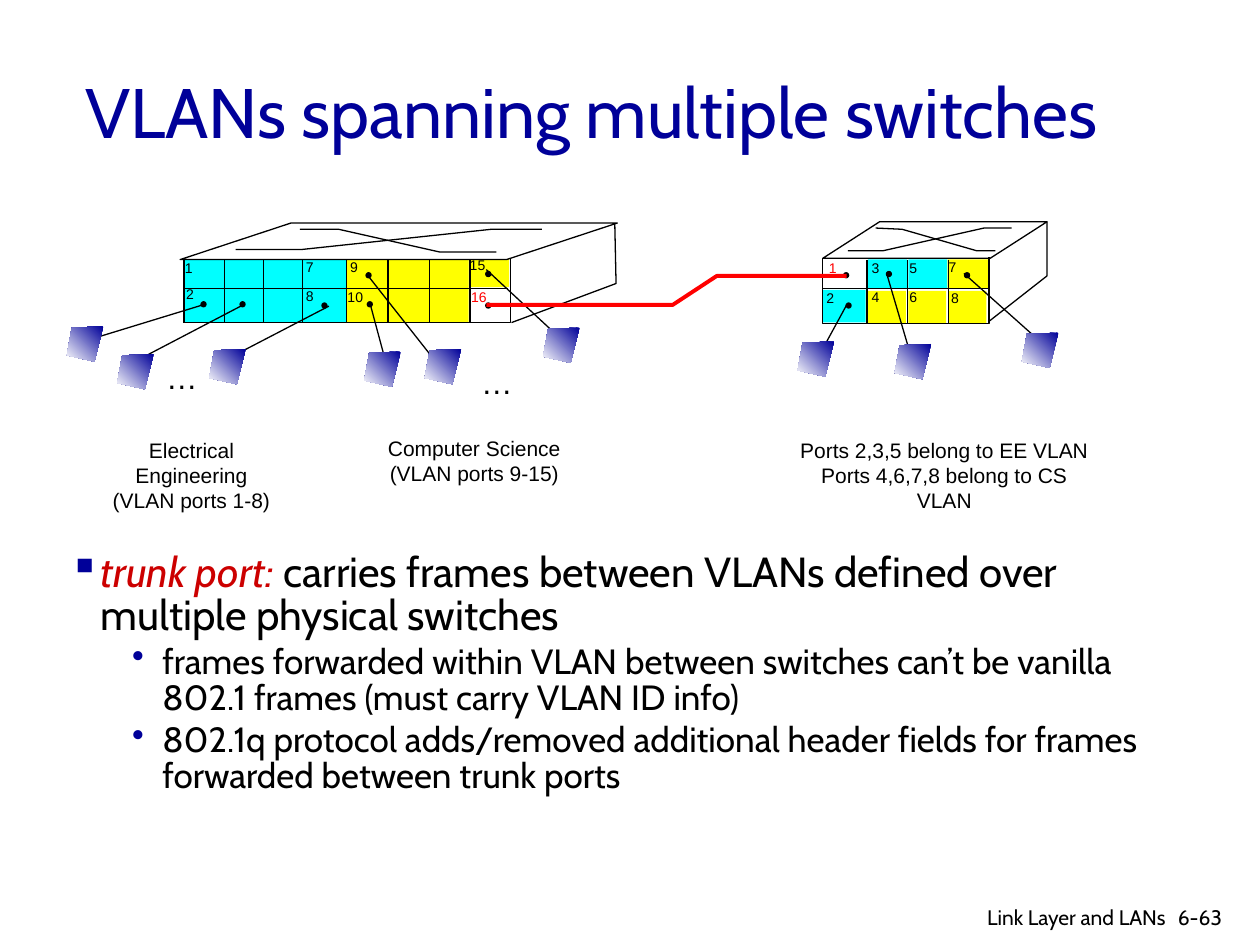
from lxml import etree
from pptx import Presentation
from pptx.dml.color import RGBColor
from pptx.enum.shapes import MSO_CONNECTOR, MSO_SHAPE
from pptx.enum.text import MSO_ANCHOR, MSO_AUTO_SIZE, PP_ALIGN
from pptx.oxml.ns import qn
from pptx.util import Inches, Pt

LINE = MSO_CONNECTOR.STRAIGHT
RECT, OVAL, SLANT = MSO_SHAPE.RECTANGLE, MSO_SHAPE.OVAL, MSO_SHAPE.PARALLELOGRAM
MIDDLE, GROW = MSO_ANCHOR.MIDDLE, MSO_AUTO_SIZE.SHAPE_TO_FIT_TEXT
LEFT, CENTER, RIGHT = PP_ALIGN.LEFT, PP_ALIGN.CENTER, PP_ALIGN.RIGHT
BLACK, WHITE, RED, CRIMSON = "000000", "FFFFFF", "FF0000", "CC0000"
NAVY, CYAN, YELLOW = "000099", "00FFFF", "FFFF00"

# Fills: left, top, width, height, colour
CELLS = [
    (1.46, 2.06, 1.29, 0.5, CYAN), (2.75, 2.06, 0.97, 0.5, YELLOW),
    (3.72, 2.05, 0.32, 0.23, YELLOW),
    (6.53, 2.3, 0.34, 0.26, CYAN), (6.89, 2.06, 0.31, 0.23, CYAN),
    (7.21, 2.06, 0.31, 0.23, CYAN), (7.52, 2.06, 0.32, 0.23, YELLOW),
    (6.89, 2.31, 0.3, 0.26, YELLOW), (7.21, 2.31, 0.3, 0.26, YELLOW),
    (7.53, 2.31, 0.3, 0.26, YELLOW),
]
BARS = [1.46, 1.78, 2.09, 2.4, 2.75, 3.08, 3.41, 3.73, 6.88, 7.2, 7.53]
ROWS = [(1.46, 4.03), (6.53, 7.86)]
TOPS = [(1.43, 1.77, 3.47, 3.032), (6.53, 1.76, 1.78, 1.556)]
EDGES = [
    [(4.06, 2.56), (4.89, 2.25), (4.88, 1.77)],
    [(1.87, 1.98), (2.4, 1.98), (3.9, 1.82), (4.3, 1.82)],
    [(2.38, 1.82), (2.69, 1.82), (3.49, 2), (3.94, 2)],
    [(6.73, 1.99), (7.01, 1.99), (7.81, 1.81), (8.03, 1.81)],
    [(6.95, 1.81), (7.16, 1.82), (7.75, 1.99), (7.9, 1.99)],
    [(8.31, 1.76), (8.31, 2.19), (7.85, 2.55)],
    [(6.53, 2.05), (6.53, 2.57), (7.85, 2.57), (7.85, 2.04)],
]
TRUNK = [(3.86, 2.42), (5.34, 2.42), (5.69, 2.19), (6.72, 2.19)]
CABLES = [
    (1.61, 2.42, 0.63, 2.72), (1.93, 2.42, 1.05, 2.88), (2.61, 2.43, 1.84, 2.83),
    (2.94, 2.42, 3.05, 2.83), (2.93, 2.2, 3.45, 2.86), (3.86, 2.14, 4.43, 2.67),
    (6.72, 2.42, 6.54, 2.75), (7.04, 2.18, 7.24, 2.86), (7.65, 2.17, 8.21, 2.67),
]
DOTS = [
    (1.59, 2.39), (1.9, 2.39), (2.55, 2.4), (2.91, 2.39), (2.9, 2.16), (3.85, 2.15),
    (6.71, 2.4), (7.65, 2.16), (7.03, 2.15), (3.85, 2.4), (6.69, 2.16),
]
PORTS = [
    ("1", 1.37, 2.01, BLACK), ("2", 1.38, 2.22, BLACK), ("7", 2.33, 2, BLACK),
    ("8", 2.33, 2.23, BLACK), ("9", 2.68, 2, BLACK), ("10", 2.66, 2.24, BLACK),
    ("15", 3.63, 1.99, BLACK), ("16", 3.64, 2.24, RED),
    ("1", 6.48, 2.01, RED), ("2", 6.46, 2.25, BLACK), ("3", 6.82, 2.01, BLACK),
    ("4", 6.82, 2.24, BLACK), ("5", 7.12, 2.01, BLACK), ("6", 7.12, 2.24, BLACK),
    ("7", 7.43, 2, BLACK), ("8", 7.45, 2.25, BLACK),
]
HOSTS = [
    (0.53, 2.59), (0.93, 2.81), (1.66, 2.77), (2.89, 2.79), (3.37, 2.77),
    (4.31, 2.6), (6.33, 2.71), (8.11, 2.64), (7.1, 2.73),
]
HOST = [(0.29, 0), (0.04, 0.01), (0, 0.23), (0.22, 0.28)]
NOTES = [
    (0.62, 3.42, 1.8, True, ["Electrical Engineering", "(VLAN ports 1-8)"]),
    (2.98, 3.41, 1.57, False, ["Computer Science", "(VLAN ports 9-15)"]),
    (6.18, 3.42, 2.63, False,
     ["Ports 2,3,5 belong to EE VLAN", "Ports 4,6,7,8 belong to CS VLAN"]),
]
POINTS = [
    (0, [("trunk port: ", CRIMSON, True),
         ("carries frames between VLANs defined over multiple physical switches",
          BLACK, False)]),
    (1, [("frames forwarded within VLAN between switches can’t be vanilla "
          "802.1 frames (must carry VLAN ID info)", BLACK, False)]),
    (1, [("802.1q protocol adds/removed additional header fields for frames "
          "forwarded between trunk ports", BLACK, False)]),
]
# Per level: mark, indent, hang, size
LEVELS = [("▪", 0.25, 0.25, 24), ("•", 0.74, 0.24, 20)]


def rgb(code):
    return RGBColor.from_string(code)


def style(shape, fill=None, line=None, weight=0.75):
    shape.shadow.inherit = False
    if fill:
        shape.fill.solid()
        shape.fill.fore_color.rgb = rgb(fill)
    else:
        shape.fill.background()
    if line:
        shape.line.color.rgb = rgb(line)
        shape.line.width = Pt(weight)
    else:
        shape.line.fill.background()


def block(slide, kind, x, y, w, h, fill=None, line=None):
    shape = slide.shapes.add_shape(kind, Inches(x), Inches(y), Inches(w), Inches(h))
    style(shape, fill, line)
    return shape


def wire(slide, x1, y1, x2, y2):
    link = slide.shapes.add_connector(LINE, Inches(x1), Inches(y1), Inches(x2), Inches(y2))
    link.line.color.rgb = rgb(BLACK)
    link.line.width = Pt(0.75)
    etree.SubElement(link._element.spPr, qn("a:effectLst"))


def trace(slide, dots, close=False, line=None, weight=0.75):
    """Draw an outline through the given points."""
    spots = [(Inches(x), Inches(y)) for x, y in dots]
    pen = slide.shapes.build_freeform(*spots[0])
    pen.add_line_segments(spots[1:], close=close)
    shape = pen.convert_to_shape()
    style(shape, None, line, weight)
    return shape


def host(slide, x, y):
    shape = trace(slide, [(x + dx, y + dy) for dx, dy in HOST], close=True)
    shape.fill.gradient()
    shape.fill.gradient_angle = 225
    for stop, code, place in zip(shape.fill.gradient_stops, (NAVY, WHITE), (0, 1)):
        stop.color.rgb = rgb(code)
        stop.position = place


def frame(slide, x, y, w, h, wrap=True):
    box = slide.shapes.add_textbox(Inches(x), Inches(y), Inches(w), Inches(h))
    box.text_frame.word_wrap = wrap
    return box.text_frame


def write(para, text, size, font, code=BLACK, slope=False):
    run = para.add_run()
    run.text = text
    run.font.size, run.font.name = Pt(size), font
    run.font.color.rgb = rgb(code)
    run.font.italic = slope


def label(slide, x, y, w, h, lines, size, font="Arial", code=BLACK, align=LEFT, wrap=False):
    area = frame(slide, x, y, w, h, wrap)
    area.auto_size = GROW
    for i, text in enumerate(lines):
        para = area.add_paragraph() if i else area.paragraphs[0]
        para.alignment = align
        write(para, text, size, font, code)
    return area


def bullet(para, mark, indent, hang):
    props = para._p.get_or_add_pPr()
    props.set("marL", str(Inches(indent)))
    props.set("indent", str(-Inches(hang)))
    tint = etree.SubElement(props, qn("a:buClr"))
    etree.SubElement(tint, qn("a:srgbClr"), val=NAVY)
    etree.SubElement(props, qn("a:buChar"), char=mark)


def body(slide):
    area = frame(slide, 0.45, 4.34, 9.07, 2.94)
    for i, (level, runs) in enumerate(POINTS):
        para = area.add_paragraph() if i else area.paragraphs[0]
        mark, indent, hang, size = LEVELS[level]
        para.level = level
        para.line_spacing = 0.85
        if i:
            para.space_before = Pt(size * 0.2)
        bullet(para, mark, indent, hang)
        for text, code, slope in runs:
            write(para, text, size, "Cabin", code, slope)


def switches(slide):
    for *spot, code in CELLS:
        block(slide, RECT, *spot, fill=code)
    block(slide, RECT, 1.46, 2.05, 2.59, 0.51, line=BLACK)
    for x, y, w, skew in TOPS:
        block(slide, SLANT, x, y, w, 0.29, WHITE, BLACK).adjustments[0] = skew
    for dots in EDGES:
        trace(slide, dots, line=BLACK)
    for x in BARS:
        wire(slide, x, 2.06, x, 2.56)
    for start, end in ROWS:
        wire(slide, start, 2.29, end, 2.29)


def main():
    deck = Presentation()
    deck.slide_width, deck.slide_height = Inches(10), Inches(7.5)
    slide = deck.slides.add_slide(deck.slide_layouts[6])
    title = frame(slide, 0.58, 0.25, 8.5, 1.25)
    title.vertical_anchor = MIDDLE
    write(title.paragraphs[0], "VLANs spanning multiple switches", 40, "Cabin", NAVY)
    body(slide)
    switches(slide)
    for ends in CABLES:
        wire(slide, *ends)
    for x, y in DOTS:
        block(slide, OVAL, x, y, 0.05, 0.05, BLACK)
    for text, x, y, code in PORTS:
        label(slide, x, y, 0.19 + 0.07 * len(text), 0.23, [text], 8, code=code)
    trace(slide, TRUNK, line=RED, weight=2.25)
    for x, y in HOSTS:
        host(slide, x, y)
    for x, y in [(1.22, 2.79), (3.72, 2.83)]:
        label(slide, x, y, 0.45, 0.4, ["…"], 18)
    for x, y, w, wrap, lines in NOTES:
        label(slide, x, y, w, 0.5, lines, 12, align=CENTER, wrap=wrap)
    label(slide, 9.25, 7.13, 0.6, 0.3, ["6-63"], 12, "Cabin", wrap=True)
    label(slide, 6.97, 7.13, 2.38, 0.26, ["Link Layer and LANs"], 12, "Cabin",
          align=RIGHT, wrap=True)
    deck.save("out.pptx")


if __name__ == "__main__":
    main()
